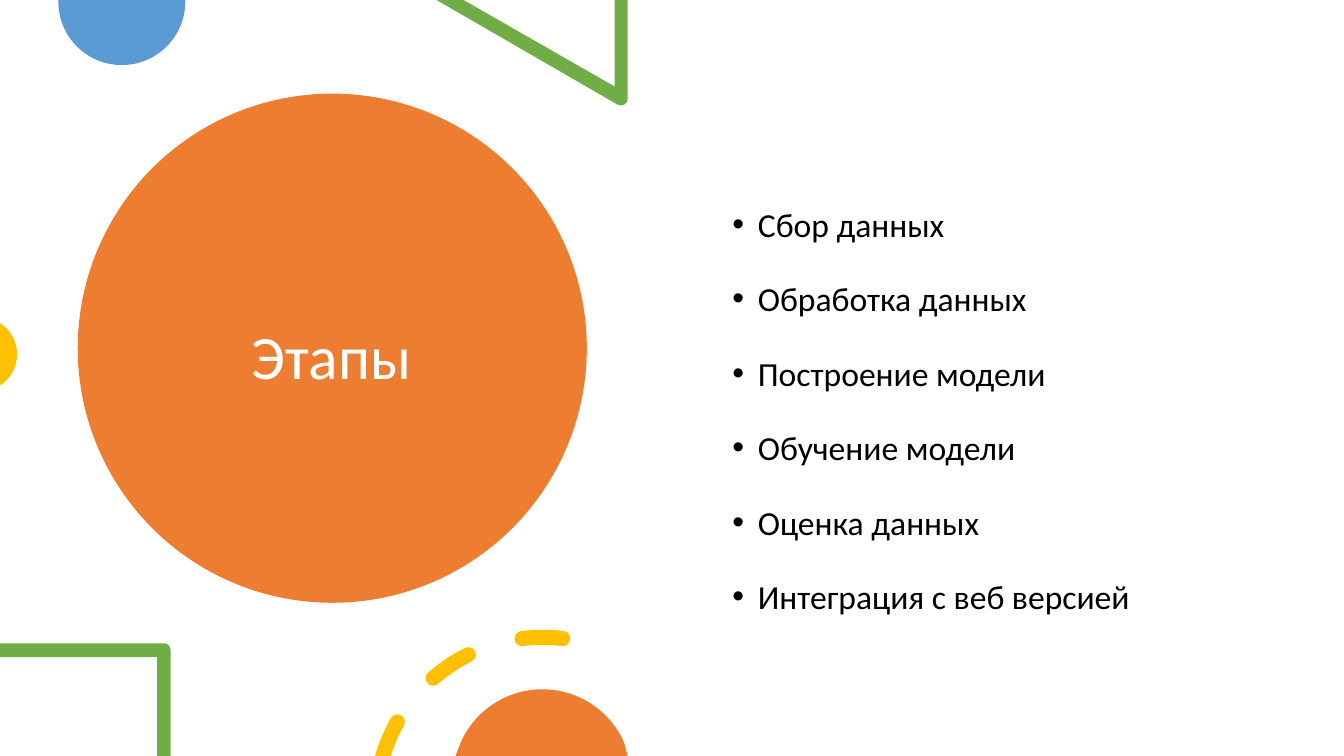
"""Build a slide that lists the stages of a project beside bright round shapes."""
from math import ceil, cos, radians, sin, tan

from lxml import etree
from pptx import Presentation
from pptx.dml.color import RGBColor
from pptx.enum.shapes import MSO_SHAPE
from pptx.enum.text import MSO_ANCHOR, PP_ALIGN
from pptx.oxml.ns import qn
from pptx.util import Cm, Pt

OVAL = MSO_SHAPE.OVAL
TOP, MIDDLE = MSO_ANCHOR.TOP, MSO_ANCHOR.MIDDLE
LEFT, CENTER = PP_ALIGN.LEFT, PP_ALIGN.CENTER
ORANGE = RGBColor(0xED, 0x7D, 0x31)
BLUE = RGBColor(0x5B, 0x9B, 0xD5)
GREEN = RGBColor(0x70, 0xAD, 0x47)
YELLOW = RGBColor(0xFF, 0xC0, 0x00)
WHITE = RGBColor(0xFF, 0xFF, 0xFF)
BLACK = RGBColor(0x00, 0x00, 0x00)
FONT = "Calibri"
WIDTH, HEIGHT = 33.87, 19.05
RING = (13.67, 20.26)
RADIUS, HALF = 4.2, 0.19
OUTER, INNER = RADIUS + HALF, RADIUS - HALF
STAGES = (
    "Сбор данных",
    "Обработка данных",
    "Построение модели",
    "Обучение модели",
    "Оценка данных",
    "Интеграция с веб версией",
)


def spot(mid, radius, angle):
    """Return the point of a circle at a clockwise angle in degrees."""
    turn = radians(angle)
    return mid[0] + radius * cos(turn), mid[1] + radius * sin(turn)


def line(*points):
    """Return straight steps, each with one point."""
    return [(point,) for point in points]


def bend(mid, radius, start, end):
    """Return curved steps, each with three points, along an arc."""
    count = ceil(abs(end - start) / 90)
    part = (end - start) / count
    pull = radius * 4 / 3 * tan(radians(part) / 4)
    steps = []
    for i in range(count):
        first = start + part * i
        last = first + part
        head, tail = spot(mid, radius, first), spot(mid, radius, last)
        steps.append((spot(head, pull, first + 90), spot(tail, -pull, last + 90), tail))
    return steps


def cap(angle, turn):
    """Return the round end of a dash on the ring."""
    return bend(spot(RING, RADIUS, angle), HALF, turn, turn + 180)


def dash(start, end):
    """Return the outline of a dash with two round ends."""
    return (line(spot(RING, OUTER, start)) + bend(RING, OUTER, start, end) + cap(end, end)
            + bend(RING, INNER, end, start) + cap(start, start + 180))


def paint(shape, color):
    """Give a shape a flat fill with no line or shadow."""
    shape.shadow.inherit = False
    shape.fill.solid()
    shape.fill.fore_color.rgb = color
    shape.line.fill.background()


def add_disc(slide, left, top, size, color):
    """Add a full circle."""
    paint(slide.shapes.add_shape(OVAL, Cm(left), Cm(top), Cm(size), Cm(size)), color)


def curve(shape, steps):
    """Turn each run of three line points into a curve."""
    nodes = iter(list(shape._element.iter(qn("a:lnTo"))))
    for step in steps:
        group = [next(nodes) for _ in step]
        if len(group) == 3:
            arc = etree.Element(qn("a:cubicBezTo"))
            group[0].addprevious(arc)
            for node in group:
                arc.append(node[0])
                node.getparent().remove(node)


def add_form(slide, color, *loops):
    """Add one shape made of closed loops in cm."""
    form = None
    steps = []
    for loop in loops:
        spots = [(Cm(x), Cm(y)) for step in loop for x, y in step]
        if form:
            form.move_to(*spots[0])
        else:
            form = slide.shapes.build_freeform(*spots[0], scale=1)
        form.add_line_segments(spots[1:], close=True)
        steps += loop[1:]
    shape = form.convert_to_shape()
    curve(shape, steps)
    paint(shape, color)


def add_box(slide, left, top, width, height, anchor):
    """Add an empty text box and return its text frame."""
    box = slide.shapes.add_textbox(Cm(left), Cm(top), Cm(width), Cm(height))
    frame = box.text_frame
    frame.word_wrap = True
    frame.vertical_anchor = anchor
    return frame


def add_run(para, text, size, color):
    """Add one run of text."""
    run = para.add_run()
    run.text = text
    run.font.name = FONT
    run.font.size = Pt(size)
    run.font.color.rgb = color


def add_title(slide, text):
    """Add the title over the large disc."""
    frame = add_box(slide, 3.86, 3.42, 8.99, 11.3, MIDDLE)
    para = frame.paragraphs[0]
    para.alignment = CENTER
    para.line_spacing = 0.9
    add_run(para, text, 44, WHITE)


def set_bullet(para):
    """Give a paragraph a round bullet and a hanging indent."""
    props = para._p.get_or_add_pPr()
    props.set("marL", str(Cm(0.64)))
    props.set("indent", str(-Cm(0.64)))
    etree.SubElement(props, qn("a:buFont")).set("typeface", "Arial")
    etree.SubElement(props, qn("a:buChar")).set("char", "•")


def add_list(slide, items):
    """Add the bulleted list."""
    frame = add_box(slide, 18.21, 4.5, 14.61, 13.59, TOP)
    for i, item in enumerate(items):
        para = frame.add_paragraph() if i else frame.paragraphs[0]
        para.alignment = LEFT
        para.line_spacing = 1.5
        para.space_before = Pt(10)
        set_bullet(para)
        add_run(para, item, 24, BLACK)


def add_upper(slide):
    """Add the shapes cut by the top and left edges."""
    add_form(slide, BLUE, line((4.67, 0), (1.47, 0), (1.47, 0.04))
             + bend((3.07, 0.04), 1.6, 180, 0))
    wedge = line((15.82, 0), (15.49, 0), (15.49, 2.18), (11.68, 0), (11, 0), (15.57, 2.64))
    add_form(slide, GREEN, wedge + bend((15.65, 2.49), 0.17, 120, 0))
    add_form(slide, YELLOW, line((0, 8.15), (0, 9.71)) + bend((-0.51, 8.93), 0.94, 57, -57))


def add_lower(slide):
    """Add the shapes cut by the bottom edge."""
    frame = line((0, 16.21), (0, 16.56), (3.96, 16.56), (3.96, HEIGHT),
                 (4.3, HEIGHT), (4.3, 16.38))
    add_form(slide, GREEN, frame + bend((4.13, 16.38), 0.17, 0, -90))
    stub = (line(spot(RING, OUTER, 196)) + bend(RING, OUTER, 196, 209.5)
            + cap(209.5, 209.5) + bend(RING, INNER, 209.5, 197.6))
    add_form(slide, YELLOW, stub, dash(229, 243.6), dash(263, 277))
    mid = (RING[0], 19.62)
    add_form(slide, ORANGE, line((11.48, HEIGHT), spot(mid, 2.25, 204))
             + bend(mid, 2.25, 204, 336) + line((15.82, HEIGHT)))


def main():
    """Build and save the slide."""
    deck = Presentation()
    deck.slide_width, deck.slide_height = Cm(WIDTH), Cm(HEIGHT)
    slide = deck.slides.add_slide(deck.slide_layouts[6])
    add_disc(slide, 1.96, 2.36, 12.83, ORANGE)
    add_title(slide, "Этапы")
    add_upper(slide)
    add_list(slide, STAGES)
    add_lower(slide)
    deck.save("out.pptx")


if __name__ == "__main__":
    main()
